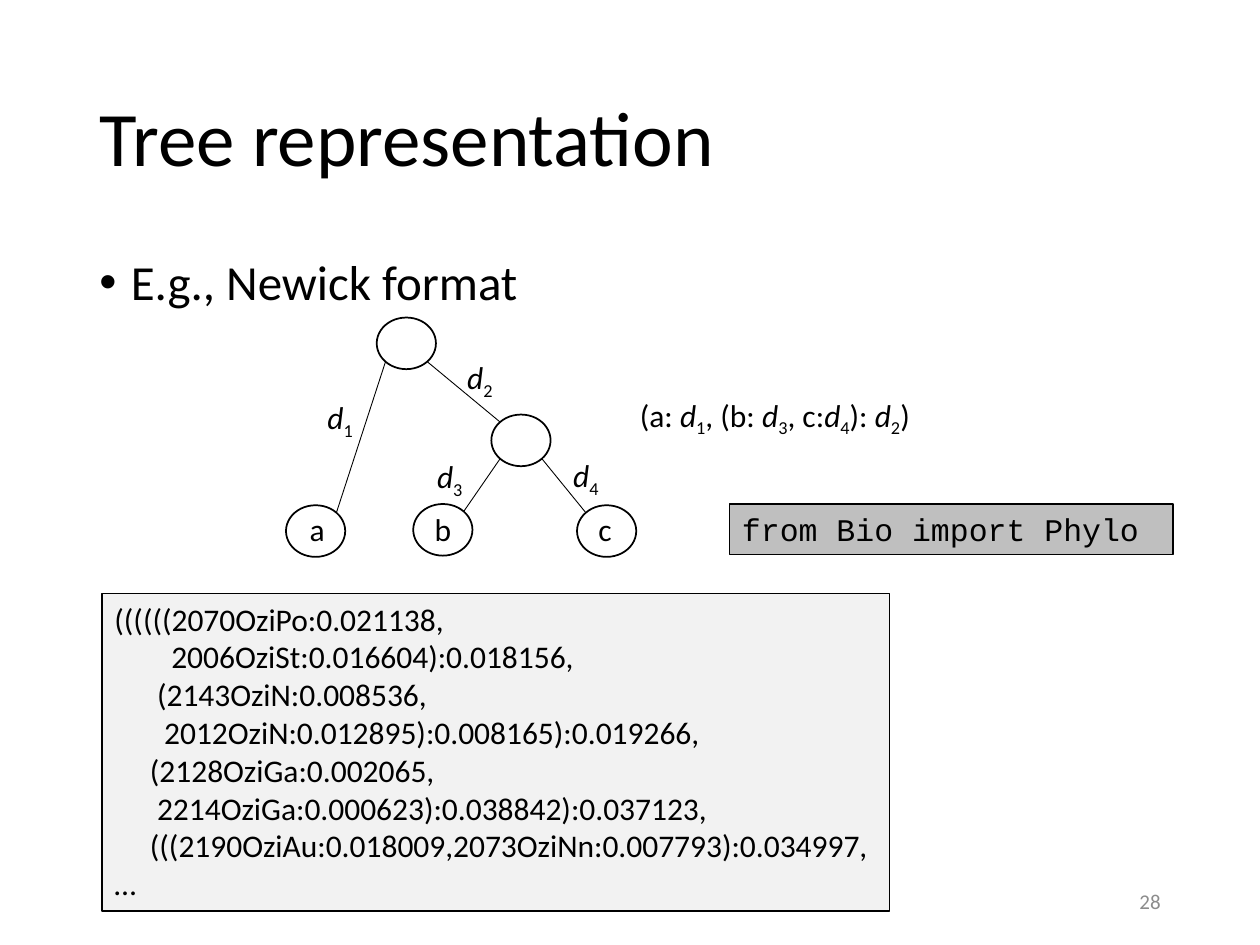
from itertools import groupby
from math import sqrt
from lxml.etree import SubElement
from pptx import Presentation
from pptx.dml.color import RGBColor
from pptx.enum.shapes import MSO_CONNECTOR, MSO_SHAPE
from pptx.enum.text import MSO_ANCHOR, PP_ALIGN
from pptx.oxml.ns import qn
from pptx.util import Pt

PX = 9144  # 100 px to the inch
COLORS = {
    "ink": "000000",
    "number": "8C8C8C",
    "code": "BFBFBF",
    "data": "F2F2F2",
}


def color(name):
    return RGBColor.from_string(COLORS[name])


def write(shape, text, size=18, ink="ink", font="Calibri", wrap=True):
    """Fill a shape with left-aligned text in one style."""
    frame = shape.text_frame
    frame.text = text
    frame.word_wrap = wrap
    for para in frame.paragraphs:
        para.alignment = PP_ALIGN.LEFT
        for run in para.runs:
            run.font.size = Pt(size)
            run.font.name = font
            run.font.color.rgb = color(ink)
    return frame


prs = Presentation()
prs.slide_width, prs.slide_height = 1000 * PX, 750 * PX
slide = prs.slides.add_slide(prs.slide_layouts[5])
shapes = slide.shapes

# Title
title = shapes.title
title.left, title.top = 69 * PX, 40 * PX
title.width, title.height = 862 * PX, 145 * PX
frame = write(title, "Tree representation", 44)
frame.vertical_anchor = MSO_ANCHOR.MIDDLE
frame.paragraphs[0].line_spacing = 0.9

# Bullet
box = shapes.add_textbox(69 * PX, 200 * PX, 862 * PX, 50 * PX)
para = write(box, "E.g., Newick format", 28).paragraphs[0]
para.line_spacing = 0.9
props = para._p.get_or_add_pPr()
props.set("marL", str(25 * PX))
props.set("indent", str(-25 * PX))
SubElement(props, qn("a:buFont"), typeface="Arial")
SubElement(props, qn("a:buChar"), char="•")

# Slide number
box = shapes.add_textbox(706 * PX, 695 * PX, 225 * PX, 40 * PX)
frame = write(box, "28", 12, "number")
frame.vertical_anchor = MSO_ANCHOR.MIDDLE
frame.paragraphs[0].alignment = PP_ALIGN.RIGHT

# Framed code and data
newick = """((((((2070OziPo:0.021138,
        2006OziSt:0.016604):0.018156,
      (2143OziN:0.008536,
       2012OziN:0.012895):0.008165):0.019266,
     (2128OziGa:0.002065,
      2214OziGa:0.000623):0.038842):0.037123,
     (((2190OziAu:0.018009,2073OziNn:0.007793):0.034997,
…"""
panels = [
    (81, 471, 625, 252, "data", "Calibri", newick),
    (579, 400, 352, 40, "code", "Courier New", "from Bio import Phylo"),
]
for x, y, w, h, fill, font, text in panels:
    panel = shapes.add_shape(MSO_SHAPE.RECTANGLE, x * PX, y * PX, w * PX, h * PX)
    panel.shadow.inherit = False
    panel.fill.solid()
    panel.fill.fore_color.rgb = color(fill)
    panel.line.color.rgb = color("ink")
    panel.line.width = Pt(0.75)
    frame = write(panel, text, font=font, wrap=False)
    frame.vertical_anchor = MSO_ANCHOR.TOP

# Tree nodes
W, H = 47, 41
nodes = {
    "root": (299, 252),
    "inner": (390, 329),
    "a": (227, 401),
    "b": (328, 400),
    "c": (458, 401),
}
for x, y in nodes.values():
    node = shapes.add_shape(MSO_SHAPE.OVAL, x * PX, y * PX, W * PX, H * PX)
    node.shadow.inherit = False
    node.fill.background()
    node.line.color.rgb = color("ink")
    node.line.width = Pt(1)

# Branches leave a node's lower diagonal and meet the child's upper one
dx, dy = W / 2 / sqrt(2), H / 2 / sqrt(2)
branches = [
    ("root", "a", -1),
    ("root", "inner", 1),
    ("inner", "b", -1),
    ("inner", "c", 1),
]
for top, low, side in branches:
    (x1, y1), (x2, y2) = nodes[top], nodes[low]
    ends = (
        x1 + W / 2 + side * dx,
        y1 + H / 2 + dy,
        x2 + W / 2 - side * dx,
        y2 + H / 2 - dy,
    )
    line = shapes.add_connector(
        MSO_CONNECTOR.STRAIGHT, *(round(end) * PX for end in ends)
    )
    line.line.color.rgb = color("ink")
    line.line.width = Pt(0.5)
    SubElement(line._element.spPr, qn("a:effectLst"))

# Leaf names
for x, w, name in [(236, 52, "a"), (335, 79, "b"), (465, 72, "c")]:
    write(shapes.add_textbox(x * PX, 400 * PX, w * PX, 40 * PX), name)

# Distances: each d is italic and each digit a subscript
labels = [
    (250, 311, 42, "d1"),
    (361, 279, 42, "d2"),
    (337, 358, 42, "d3"),
    (445, 357, 42, "d4"),
    (498, 309, 247, "(a: d1, (b: d3, c:d4): d2)"),
]
for x, y, w, text in labels:
    box = shapes.add_textbox(x * PX, y * PX, w * PX, 40 * PX)
    para = write(box, "", wrap=False).paragraphs[0]
    for (sub, slant), part in groupby(text, lambda c: (c.isdigit(), c == "d")):
        run = para.add_run()
        run.text = "".join(part)
        run.font.size = Pt(18)
        run.font.name = "Calibri"
        run.font.color.rgb = color("ink")
        if slant:
            run.font.italic = True
        if sub:
            run.font._element.set("baseline", "-25000")

prs.save("out.pptx")
